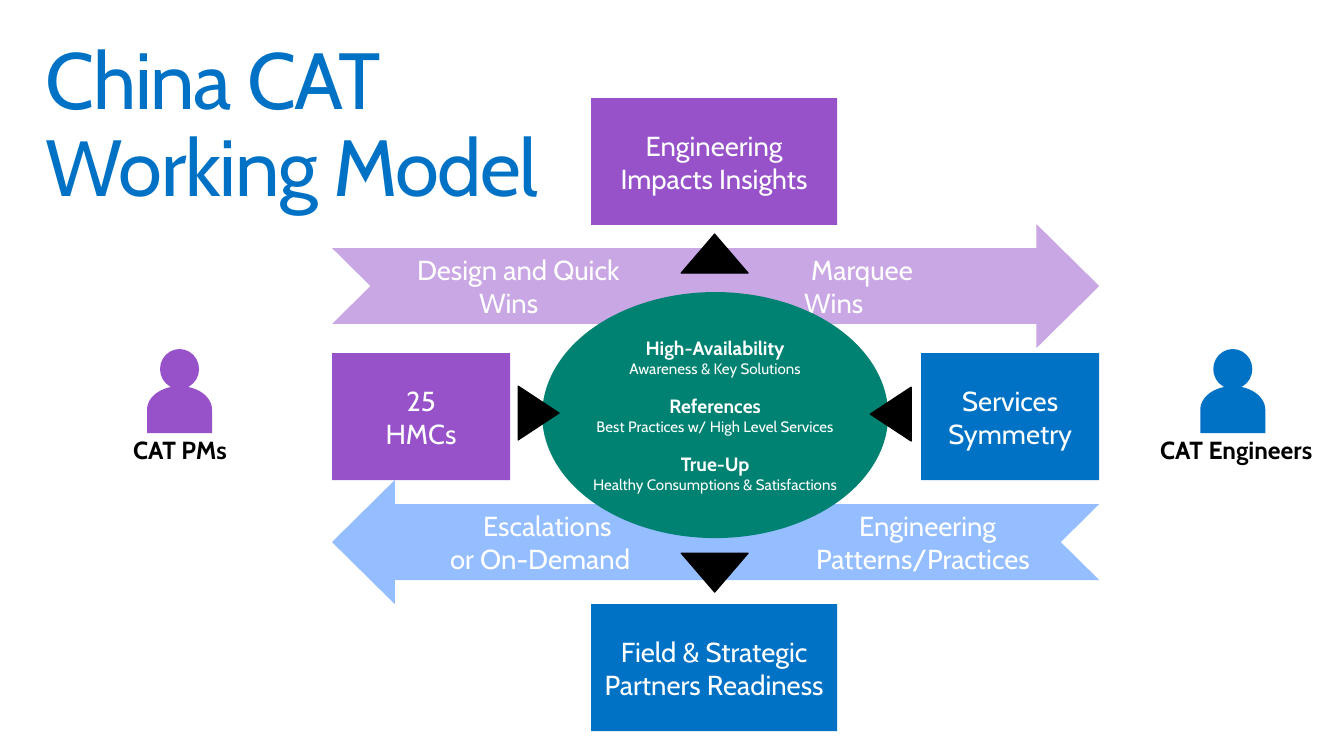
from pptx import Presentation
from pptx.util import Emu, Inches, Pt
from pptx.dml.color import RGBColor
from pptx.enum.shapes import MSO_SHAPE as Kind
from pptx.enum.text import MSO_ANCHOR as Anchor, PP_ALIGN as Align

FONT = "Cabin"
BLUE = RGBColor(0x00, 0x72, 0xC6)
PURPLE = RGBColor(0x97, 0x52, 0xCA)
LILAC = RGBColor(0xC9, 0xA6, 0xE4)
SKY = RGBColor(0x94, 0xBE, 0xFF)
TEAL = RGBColor(0x00, 0x82, 0x72)
BLACK = RGBColor(0, 0, 0)
WHITE = RGBColor(255, 255, 255)

TITLE = "China CAT\vWorking Model"

# top, colour, flipped, labels; each label line is (text, left)
ARROWS = [
    (224, LILAC, False, [
        [("Design and Quick", 417), ("Wins", 479)],
        [("Marquee", 811), ("Wins", 804)],
    ]),
    (480, SKY, True, [
        [("Escalations", 483), ("or On-Demand", 450)],
        [("Engineering", 859), ("Patterns/Practices", 816)],
    ]),
]
GOALS = [
    ("High-Availability", "Awareness & Key Solutions"),
    ("References", "Best Practices w/ High Level Services"),
    ("True-Up", "Healthy Consumptions & Satisfactions"),
]
# left, top, width, height, turn
POINTERS = [
    (518, 386, 41, 54, 0),
    (870, 387, 41, 54, 180),
    (695, 539, 39, 67, 90),
    (695, 220, 39, 67, 270),
]
# left, top, width, colour, lines
BOXES = [
    (921, 353, 178, BLUE, ["Services Symmetry"]),
    (332, 353, 178, PURPLE, ["25", "HMCs"]),
    (591, 604, 246, BLUE, ["Field & Strategic Partners Readiness"]),
    (591, 98, 246, PURPLE, ["Engineering Impacts Insights"]),
]
# centre of figure, centre of label, colour, label
ROLES = [
    (1233, 1236, BLUE, "CAT Engineers"),
    (180, 180, PURPLE, "CAT PMs"),
]

SCALE = 914400 / 98.8


def px(n):
    return Emu(round(n * SCALE))


deck = Presentation()
deck.slide_width, deck.slide_height = Inches(13.6), Inches(7.65)
slide = deck.slides.add_slide(deck.slide_layouts[6])
shapes = slide.shapes


def draw(kind, left, top, width, height, fill, turn=0):
    shape = shapes.add_shape(kind, px(left), px(top), px(width), px(height))
    shape.shadow.inherit = False
    shape.fill.solid()
    shape.fill.fore_color.rgb = fill
    shape.line.fill.background()
    shape.rotation = turn
    return shape


def text_box(left, top, width, height, side=0, edge=0):
    frame = shapes.add_textbox(px(left), px(top), px(width), px(height)).text_frame
    frame.word_wrap = True
    frame.margin_left = frame.margin_right = px(side)
    frame.margin_top = frame.margin_bottom = px(edge)
    return frame


def write(frame, lines, size, color=WHITE, align=Align.CENTER, bold=False):
    """Fill the frame, one paragraph a line, and return the paragraphs."""
    frame.text = "\n".join(lines)
    for para in frame.paragraphs:
        para.alignment = align
        font = para.font
        font.name, font.size, font.bold = FONT, Pt(size), bold
        font.color.rgb = color
    return frame.paragraphs


def add_title():
    frame = text_box(30, 29, 988, 119, 16, 10)
    para = write(frame, [TITLE], 58, BLUE, Align.LEFT)[0]
    para.line_spacing = Pt(63)
    for run in para.runs:
        run.font._element.set("spc", "-100")


def add_arrow(top, color, flip, labels):
    arrow = draw(Kind.NOTCHED_RIGHT_ARROW, 332, top, 767, 124, color)
    arrow.adjustments[0], arrow.adjustments[1] = 0.612, 0.506
    if flip:
        arrow._element.spPr.xfrm.set("flipH", "1")
    for label in labels:
        left = min(x for _, x in label)
        frame = text_box(left, top, 240, 124)
        frame.vertical_anchor = Anchor.MIDDLE
        paras = write(frame, [text for text, _ in label], 20, align=Align.LEFT)
        for para, (_, x) in zip(paras, label):
            para._p.get_or_add_pPr().set("marL", str(px(x - left)))


def add_hub():
    frame = draw(Kind.OVAL, 542, 292, 346, 246, TEAL).text_frame
    frame.word_wrap = False
    frame.margin_left = frame.margin_right = 0
    frame.vertical_anchor = Anchor.MIDDLE
    paras = write(frame, [line for goal in GOALS for line in goal], 11)
    for i, head in enumerate(paras[::2]):
        head.font.size, head.font.bold = Pt(14), True
        if i:
            head.space_before = Pt(12)


def add_role(mid, label_mid, color, label):
    draw(Kind.OVAL, mid - 20, 349, 39, 40, color)
    draw(Kind.FLOWCHART_DELAY, mid - 24, 377, 47, 65, color, 270)
    frame = text_box(label_mid - 106, 425, 212, 59, 20, 16)
    para = write(frame, [label], 18, BLACK, bold=True)[0]
    para.line_spacing = 0.9


add_title()
for arrow in ARROWS:
    add_arrow(*arrow)
add_hub()
for left, top, width, height, turn in POINTERS:
    tip = draw(Kind.RIGHT_ARROW, left, top, width, height, BLACK, turn)
    tip.adjustments[0], tip.adjustments[1] = 0.5, 1
    tip.line.color.rgb, tip.line.width = BLACK, Pt(0.85)
for left, top, width, color, lines in BOXES:
    frame = draw(Kind.RECTANGLE, left, top, width, 127, color).text_frame
    frame.word_wrap = True
    frame.vertical_anchor = Anchor.MIDDLE
    write(frame, lines, 20)
for role in ROLES:
    add_role(*role)

deck.save("out.pptx")
